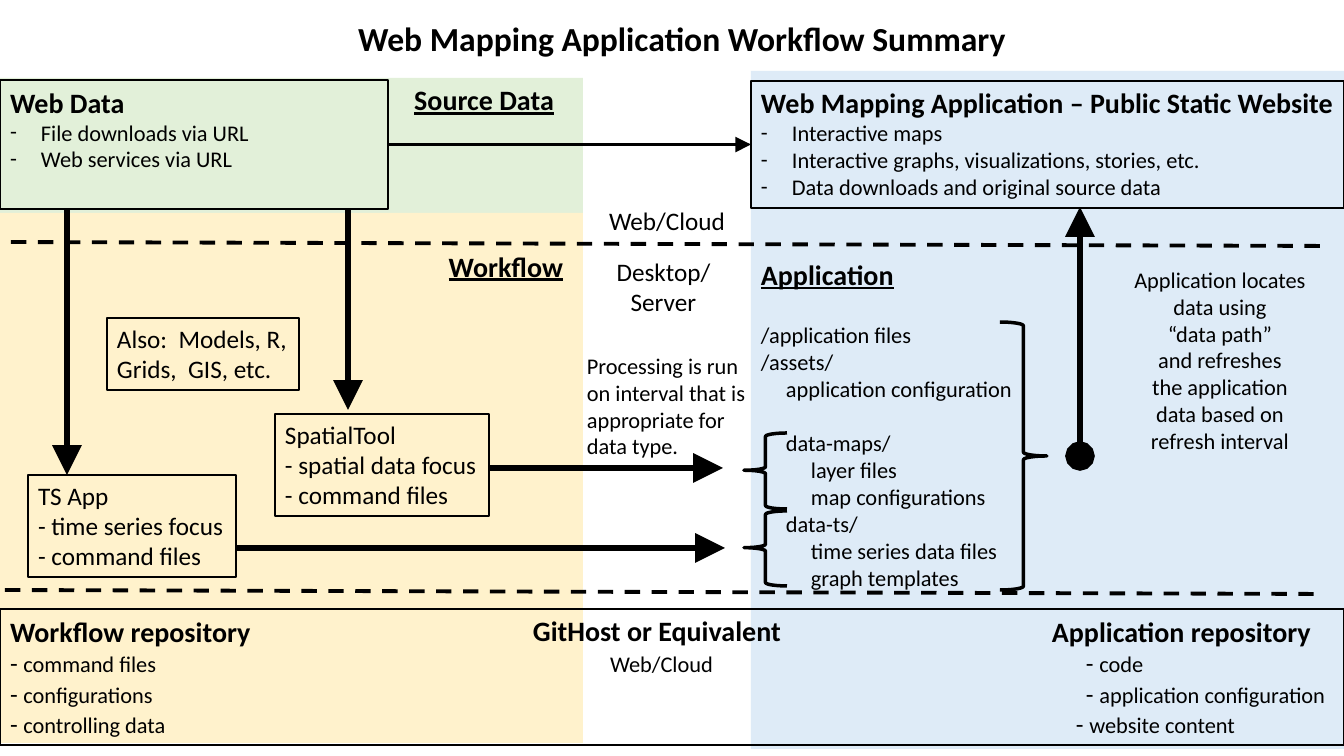
"""Build the web mapping application workflow summary slide."""
from lxml.etree import SubElement
from pptx import Presentation
from pptx.dml.color import RGBColor
from pptx.enum.dml import MSO_LINE
from pptx.enum.shapes import MSO_CONNECTOR, MSO_SHAPE
from pptx.enum.text import MSO_ANCHOR, PP_ALIGN
from pptx.oxml.ns import qn
from pptx.util import Emu, Pt

PX = 914400 / 100.8
WIDTH, HEIGHT = 1344, 756
FONT = "Calibri"
COLORS = {"ink": "000000", "source": "E2F0D9", "app": "DEEBF7", "flow": "FFF2CC"}
ALIGN = {"l": PP_ALIGN.LEFT, "c": PP_ALIGN.CENTER, "r": PP_ALIGN.RIGHT}
STYLES = {
    "title": {"size": Pt(24), "bold": True},
    "head": {"size": Pt(20), "bold": True},
    "label": {"size": Pt(20), "bold": True, "underline": True},
    "body": {"size": Pt(18)},
    "small": {"size": Pt(16)},
    "bullet": {"size": Pt(16)},
}
BULLET_INDENT = 31


def rows(style, *texts, indent=0, before=0):
    return [([(style, text)], indent, before) for text in texts]


def dashed(*texts, indent=0):
    return [([("body", "- "), ("small", text)], indent, 0) for text in texts]


# (left, top, width, height), fill, alignment, (left, top, right) insets, paragraphs
PANELS = [
    ((0, 78, 583, 136), "source", "r", (10, 5, 29), rows("label", "Source Data")),
    ((751, 71, 593, 678), "app", "l", (10, 186, 0),
     rows("label", "Application")
     + rows("small", "/application files", before=22)
     + rows("small", "/assets/")
     + rows("small", "application configuration", indent=25)
     + rows("small", "data-maps/", indent=25, before=19.5)
     + rows("small", "layer files", "map configurations", indent=50)
     + rows("small", "data-ts/", indent=25)
     + rows("small", "time series data files", "graph templates", indent=50)),
    ((0, 213, 583, 530), "flow", "r", (10, 36, 20), rows("label", "Workflow")),
]
BOXES = {
    "web data": ((0, 80, 388, 129),
                 rows("head", "Web Data")
                 + rows("bullet", "File downloads via URL", "Web services via URL")),
    "website": ((751, 81, 593, 127),
                rows("head", "Web Mapping Application – Public Static Website")
                + rows("bullet", "Interactive maps",
                       "Interactive graphs, visualizations, stories, etc.",
                       "Data downloads and original source data")),
    "time series": ((28, 475, 208, 102),
                    rows("body", "TS App", "- time series focus", "- command files")),
    "spatial": ((275, 414, 214, 102),
                rows("body", "SpatialTool", "- spatial data focus", "- command files")),
    "other tools": ((107, 318, 192, 72),
                    rows("body", "Also:  Models, R,", "Grids,  GIS, etc.")),
    "repositories": ((0, 609, 1344, 136),
                     rows("head", "Workflow repository")
                     + dashed("command files", "configurations", "controlling data")),
}
TEXTS = [
    ((345, 13, 674, 50), "c", rows("title", "Web Mapping Application Workflow Summary")),
    ((598, 200, 138, 40), "c", rows("body", "Web/Cloud")),
    ((606, 251, 115, 72), "c", rows("body", "Desktop/", "Server")),
    ((1123, 261, 194, 201), "c",
     rows("small", "Application locates", "data using", "“data path”", "and refreshes",
          "the application", "data based on", "refresh interval")),
    ((577, 347, 180, 119), "l",
     rows("small", "Processing is run", "on interval that is", "appropriate for",
          "data type.")),
    ((517, 609, 280, 72), "c",
     rows("head", "GitHost or Equivalent")
     + rows("small", "Web/Cloud", indent=9, before=2)),
    ((1042, 609, 302, 136), "l",
     rows("head", "Application repository")
     + dashed("code", "application configuration", indent=34)
     + dashed("website content", indent=24)),
]
# from, to, width, arrowheads
LINES = [
    ((11, 242), (1330, 246), 2.75, {}),
    ((5, 590), (1322, 594), 2.75, {}),
    ((67, 209), (67, 475), 4.25, {"tailEnd": "triangle"}),
    ((348, 209), (348, 410), 4.25, {"tailEnd": "triangle"}),
    ((236, 548), (725, 548), 4.25, {"tailEnd": "triangle"}),
    ((489, 468), (723, 468), 4.25, {"tailEnd": "triangle"}),
    ((1080, 456), (1080, 207), 4.25, {"headEnd": "oval", "tailEnd": "triangle"}),
]
DATA_LINK = ((388, 144), (751, 144), 2.25, {"tailEnd": "triangle"})
BRACES = [
    (MSO_SHAPE.RIGHT_BRACE, (1000, 322, 47, 268), 0.5),
    (MSO_SHAPE.LEFT_BRACE, (744, 511, 43, 75), 0.49),
    (MSO_SHAPE.LEFT_BRACE, (744, 433, 43, 76), 0.49),
]


def emu(*lengths):
    return [Emu(round(n * PX)) for n in lengths]


def color(key):
    return RGBColor.from_string(COLORS[key])


def set_all(target, values):
    for key, value in values.items():
        setattr(target, key, value)


def ink_line(s, width):
    s.line.color.rgb = color("ink")
    s.line.width = Pt(width)


def write(s, paragraphs, align, insets):
    tf = s.text_frame
    left, top, right = emu(*insets)
    set_all(tf, {"word_wrap": True, "vertical_anchor": MSO_ANCHOR.TOP,
                 "margin_left": left, "margin_top": top,
                 "margin_right": right, "margin_bottom": 0})
    for i, (runs, indent, before) in enumerate(paragraphs):
        p = tf.add_paragraph() if i else tf.paragraphs[0]
        set_all(p, {"alignment": ALIGN[align], "space_before": Pt(before)})
        pPr = p._p.get_or_add_pPr()
        hang = BULLET_INDENT if runs[0][0] == "bullet" else 0
        margin, first = emu(indent + hang, -hang)
        pPr.set("marL", str(margin))
        pPr.set("indent", str(first))
        if hang:
            SubElement(pPr, qn("a:buFont")).set("typeface", FONT)
            SubElement(pPr, qn("a:buChar")).set("char", "-")
        for style, text in runs:
            r = p.add_run()
            r.text = text
            set_all(r.font, {"name": FONT, **STYLES[style]})
            r.font.color.rgb = color("ink")


def add_box(shapes, kind, frame, fill=None, width=None):
    s = shapes.add_shape(kind, *emu(*frame))
    s.shadow.inherit = False
    if fill:
        s.fill.solid()
        s.fill.fore_color.rgb = color(fill)
    else:
        s.fill.background()
    if width:
        ink_line(s, width)
    else:
        s.line.fill.background()
    return s


def add_line(shapes, start, end, width, heads):
    s = shapes.add_connector(MSO_CONNECTOR.STRAIGHT, *emu(*start, *end))
    ink_line(s, width)
    if not heads:
        s.line.dash_style = MSO_LINE.DASH
    for tag, kind in heads.items():
        head = SubElement(s.line._get_or_add_ln(), qn(f"a:{tag}"))
        for key, value in {"type": kind, "w": "lg", "len": "lg"}.items():
            head.set(key, value)
    SubElement(s._element.spPr, qn("a:effectLst"))
    return s


def main():
    prs = Presentation()
    prs.slide_width, prs.slide_height = emu(WIDTH, HEIGHT)
    shapes = prs.slides.add_slide(prs.slide_layouts[6]).shapes
    for frame, fill, align, insets, paragraphs in PANELS:
        s = add_box(shapes, MSO_SHAPE.RECTANGLE, frame, fill)
        write(s, paragraphs, align, insets)
    boxes = {}
    for name, (frame, paragraphs) in BOXES.items():
        boxes[name] = add_box(shapes, MSO_SHAPE.RECTANGLE, frame, width=1.25)
        write(boxes[name], paragraphs, "l", (10, 5, 0))
    for frame, align, paragraphs in TEXTS:
        s = shapes.add_textbox(*emu(*frame))
        write(s, paragraphs, align, (0 if align == "c" else 10, 5, 0))
    for line in LINES:
        add_line(shapes, *line)
    s = add_line(shapes, *DATA_LINK)
    s.begin_connect(boxes["web data"], 3)
    s.end_connect(boxes["website"], 1)
    for kind, frame, point in BRACES:
        s = add_box(shapes, kind, frame, width=2.5)
        s.adjustments[0], s.adjustments[1] = 0.08, point
    prs.save("out.pptx")


if __name__ == "__main__":
    main()
